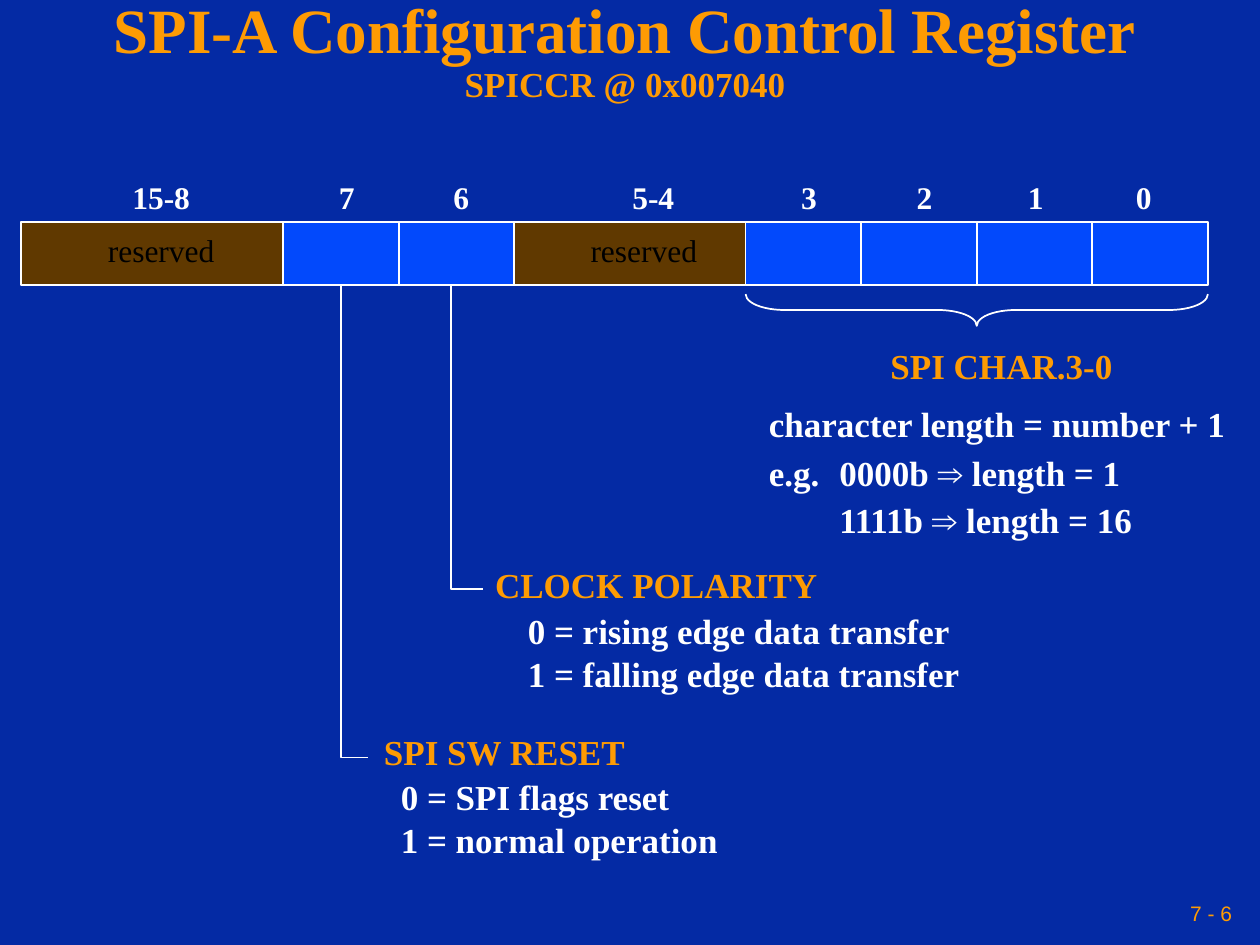
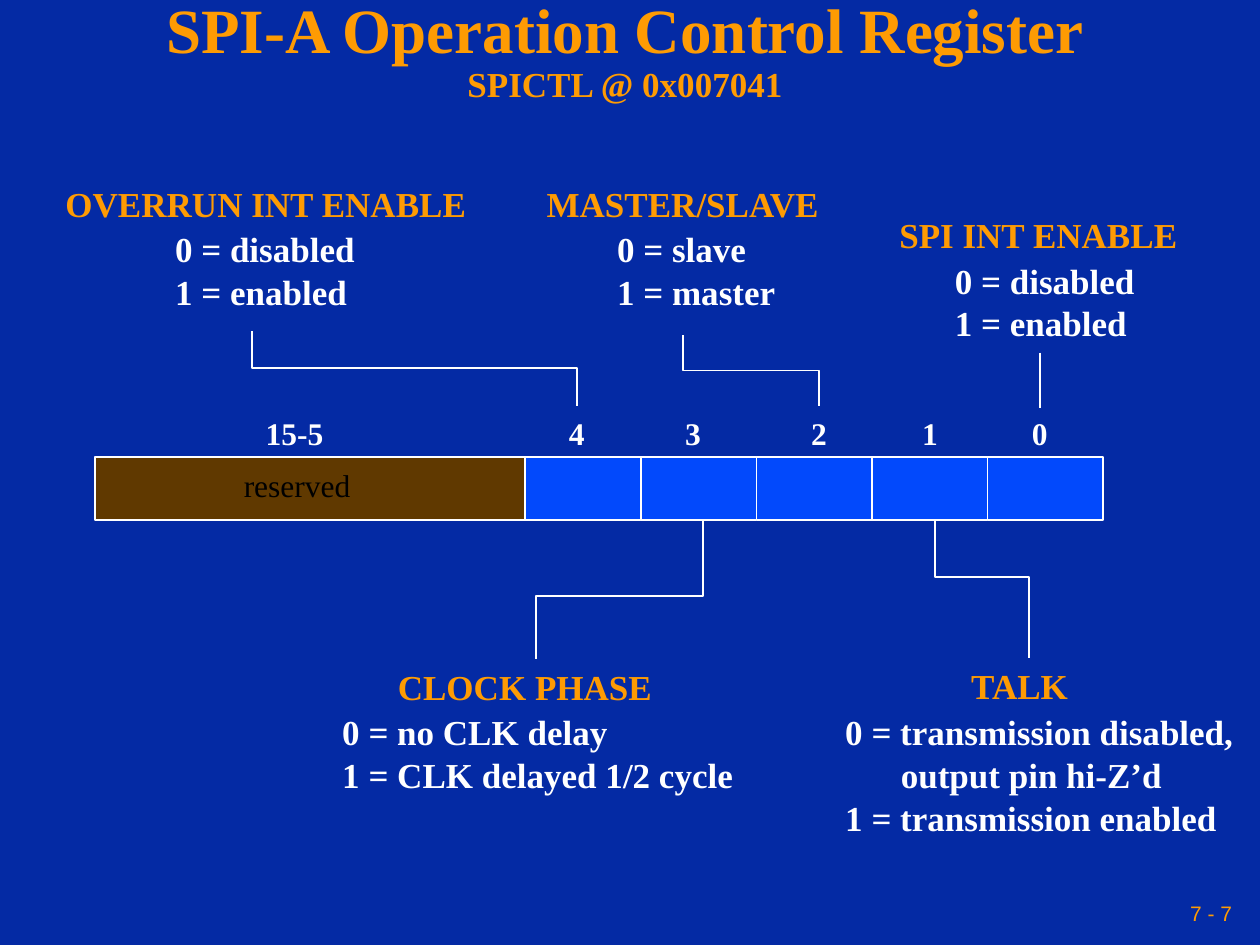
from dataclasses import dataclass

import pptx
import pptx.dml.color
import pptx.enum.dml
import pptx.enum.shapes
import pptx.enum.text
import pptx.oxml
import pptx.oxml.ns
import pptx.util
from lxml import etree

Cm = pptx.util.Cm
Pt = pptx.util.Pt
SHAPE = pptx.enum.shapes.MSO_SHAPE
ALIGN = pptx.enum.text.PP_ALIGN
ANCHOR = pptx.enum.text.MSO_ANCHOR
AUTO = pptx.enum.text.MSO_AUTO_SIZE

COLORS = {
    "back": "042AA4",
    "accent": "FE9B03",
    "bit": "0249FC",
    "reserved": "603900",
    "white": "FFFFFF",
    "black": "000000",
}
SERIF = "Times New Roman"
SANS = "Arial"
BIT_W = 2.33
ROW_H = 1.27
LABEL_W = 2.7
LABEL_H = 0.86
ARROW = "⇒"


@dataclass
class Field:
    bits: str
    label_center: float
    width: float = BIT_W
    reserved_center: float | None = None


@dataclass
class Block:
    left: float
    top: float
    width: float
    height: float
    lines: list[str]
    tab: float = 0.0
    lead: float = 0.8
    follow: float = 0.5
    head_color: str = "accent"
    align: ALIGN = ALIGN.LEFT


@dataclass
class Register:
    title: str
    address: str
    page: str
    left: float
    top: float
    fields: list[Field]
    blocks: list[Block]
    leaders: list[list[tuple[float, float]]]


def rgb(name: str) -> pptx.dml.color.RGBColor:
    return pptx.dml.color.RGBColor.from_string(COLORS[name])


def add_run(p, text: str, size: float, color: str, bold: bool = True, font: str = SERIF) -> None:
    r = p.add_run()
    r.text = text
    r.font.size = Pt(size)
    r.font.name = font
    r.font.bold = bold
    r.font.color.rgb = rgb(color)


def add_tabs(p, stops: list[float]) -> None:
    tabs = etree.SubElement(p._p.get_or_add_pPr(), pptx.oxml.ns.qn("a:tabLst"))
    for stop in stops:
        etree.SubElement(tabs, pptx.oxml.ns.qn("a:tab"), pos=str(Cm(stop)), algn="l")


def add_box(s, left: float, top: float, width: float, height: float):
    tf = s.shapes.add_textbox(Cm(left), Cm(top), Cm(width), Cm(height)).text_frame
    tf.vertical_anchor = ANCHOR.MIDDLE
    tf.word_wrap = True
    return tf


def add_label(s, text: str, center: float, top: float, color: str, bold: bool) -> None:
    tf = add_box(s, center - LABEL_W / 2, top, LABEL_W, LABEL_H)
    p = tf.paragraphs[0]
    p.alignment = ALIGN.CENTER
    p.line_spacing = 0.8
    add_run(p, text, 18, color, bold)


def style_line(sp) -> None:
    sp.line.color.rgb = rgb("white")
    sp.line.width = Pt(1)


def add_fields(s, reg: Register) -> None:
    left = reg.left
    for field in reg.fields:
        reserved = field.reserved_center is not None
        sp = s.shapes.add_shape(SHAPE.RECTANGLE, Cm(left), Cm(reg.top), Cm(field.width), Cm(ROW_H))
        sp.shadow.inherit = False
        sp.fill.solid()
        sp.fill.fore_color.rgb = rgb("reserved" if reserved else "bit")
        style_line(sp)
        add_label(s, field.bits, field.label_center, reg.top - LABEL_H, "white", True)
        if reserved:
            middle = reg.top + (ROW_H - LABEL_H) / 2
            add_label(s, "reserved", field.reserved_center, middle, "black", False)
        left += field.width


def add_block(s, block: Block) -> None:
    tf = add_box(s, block.left, block.top, block.width, block.height)
    tf.auto_size = AUTO.SHAPE_TO_FIT_TEXT
    for i, line in enumerate(block.lines):
        p = tf.add_paragraph() if i else tf.paragraphs[0]
        p.alignment = block.align
        p.line_spacing = block.follow if i else block.lead
        if i:
            p.space_before = Pt(12.5)
        if block.tab:
            add_tabs(p, [block.tab, 2.54])
        color = "white" if i else block.head_color
        for part in line.partition(ARROW):
            if part:
                add_run(p, part, 20, color, font=SANS if part == ARROW else SERIF)


def add_leader(s, points: list[tuple[float, float]]) -> None:
    pts = [(Cm(x), Cm(y)) for x, y in points]
    if len(pts) == 2:
        sp = s.shapes.add_connector(pptx.enum.shapes.MSO_CONNECTOR.STRAIGHT, *pts[0], *pts[1])
        etree.SubElement(sp._element.spPr, pptx.oxml.ns.qn("a:effectLst"))
    else:
        builder = s.shapes.build_freeform(*pts[0])
        builder.add_line_segments(pts[1:], close=False)
        sp = builder.convert_to_shape()
        sp.fill.background()
        sp.shadow.inherit = False
    style_line(sp)


def add_brace(s, center_x: float, center_y: float, span: float, depth: float) -> None:
    sp = s.shapes.add_shape(
        SHAPE.RIGHT_BRACE, Cm(center_x - depth / 2), Cm(center_y - span / 2), Cm(depth), Cm(span)
    )
    sp.rotation = 90
    sp.adjustments[0] = 1.22
    sp.fill.background()
    sp.shadow.inherit = False
    style_line(sp)


def add_title(s, reg: Register) -> None:
    sp = s.shapes.title
    sp.left, sp.top, sp.width, sp.height = Cm(0), Cm(0), Cm(25.2), Cm(2.11)
    tf = sp.text_frame
    tf.auto_size = AUTO.NONE
    tf.word_wrap = True
    tf.vertical_anchor = ANCHOR.MIDDLE
    tf.margin_left = tf.margin_right = tf.margin_top = tf.margin_bottom = Cm(0.13)
    p = tf.paragraphs[0]
    p.alignment = ALIGN.CENTER
    p.line_spacing = 0.9
    add_run(p, reg.title, 36, "accent")
    p.add_line_break()
    add_run(p, reg.address, 20, "accent")


def add_page_number(s, page: str) -> None:
    tf = add_box(s, 17.35, 17.98, 7.62, 0.84)
    tf.margin_left = tf.margin_right = Cm(0.13)
    p = tf.paragraphs[0]
    p.alignment = ALIGN.RIGHT
    add_run(p, page, 12, "accent", False, SANS)


def add_register_slide(prs, reg: Register):
    s = prs.slides.add_slide(prs.slide_layouts[5])
    add_title(s, reg)
    add_page_number(s, reg.page)
    add_fields(s, reg)
    for block in reg.blocks:
        add_block(s, block)
    for points in reg.leaders:
        add_leader(s, points)
    return s


CONFIGURATION = Register(
    "SPI-A Configuration Control Register", "SPICCR @ 0x007040", "7 - 6", 0.42, 4.47,
    fields=[
        Field("15-8", 3.25, 5.29, 3.25),
        Field("7", 6.99),
        Field("6", 9.3),
        Field("5-4", 13.17, 2 * BIT_W, 12.98),
        Field("3", 16.31),
        Field("2", 18.64),
        Field("1", 20.88),
        Field("0", 23.06),
    ],
    blocks=[
        Block(16.05, 7.24, 8.28, 0.61, ["SPI CHAR.3-0"], lead=0.4, align=ALIGN.CENTER),
        Block(15.25, 8.15, 10.0, 2.84,
              ["character length = number + 1", "e.g.\t0000b ⇒ length = 1", "\t1111b ⇒ length = 16"],
              tab=1.42, follow=0.6, head_color="white"),
        Block(7.49, 14.76, 7.6, 2.67,
              ["SPI SW RESET", "\t0 = SPI flags reset", "\t1 = normal operation"], tab=0.34),
        Block(9.73, 11.4, 10.2, 2.67,
              ["CLOCK POLARITY", "\t0 = rising edge data transfer", "\t1 = falling edge data transfer"],
              tab=0.66),
    ],
    leaders=[
        [(6.88, 5.74), (6.88, 15.27), (7.42, 15.27)],
        [(9.1, 5.74), (9.1, 11.87), (9.73, 11.87)],
    ],
)

OPERATION = Register(
    "SPI-A Operation Control Register", "SPICTL @ 0x007041", "7 - 7", 1.91, 9.22,
    fields=[
        Field("15-5", 5.94, 8.68, 5.99),
        Field("4", 11.63),
        Field("3", 13.97),
        Field("2", 16.51),
        Field("1", 18.75),
        Field("0", 20.96),
    ],
    blocks=[
        Block(6.65, 13.44, 8.8, 2.67,
              ["\tCLOCK PHASE", "0 = no CLK delay", "1 = CLK delayed 1/2 cycle"], tab=1.12),
        Block(1.07, 3.71, 9.0, 2.67,
              ["OVERRUN INT ENABLE", "\t0 = disabled", "\t1 = enabled"], tab=2.21),
        Block(10.77, 3.71, 6.4, 2.67,
              ["MASTER/SLAVE", "\t0 = slave", "\t1 = master"], tab=1.42),
        Block(16.79, 13.44, 8.6, 3.53,
              ["\t\tTALK", "0 = transmission disabled,", "\toutput pin hi-Z’d",
               "1 = transmission enabled"], tab=1.12),
        Block(17.88, 4.34, 6.5, 2.67,
              ["SPI INT ENABLE", "\t0 = disabled", "\t1 = enabled"], tab=1.12),
    ],
    leaders=[
        [(20.96, 7.11), (20.96, 8.23)],
        [(16.51, 8.18), (16.51, 7.47), (13.77, 7.47), (13.77, 6.76)],
        [(18.85, 10.49), (18.85, 11.63), (20.75, 11.63), (20.75, 13.26)],
        [(14.17, 10.49), (14.17, 12.01), (10.8, 12.01), (10.8, 13.28)],
        [(11.63, 8.18), (11.63, 7.42), (5.08, 7.42), (5.08, 6.68)],
    ],
)


def main() -> None:
    prs = pptx.Presentation()
    prs.slide_width, prs.slide_height = Cm(25.4), Cm(19.05)
    fill = prs.slide_master.background.fill
    fill.solid()
    fill.fore_color.rgb = rgb("back")
    s = add_register_slide(prs, CONFIGURATION)
    add_brace(s, 19.69, 6.25, 4 * BIT_W, 0.64)
    add_register_slide(prs, OPERATION)
    prs.save("out.pptx")


if __name__ == "__main__":
    main()
